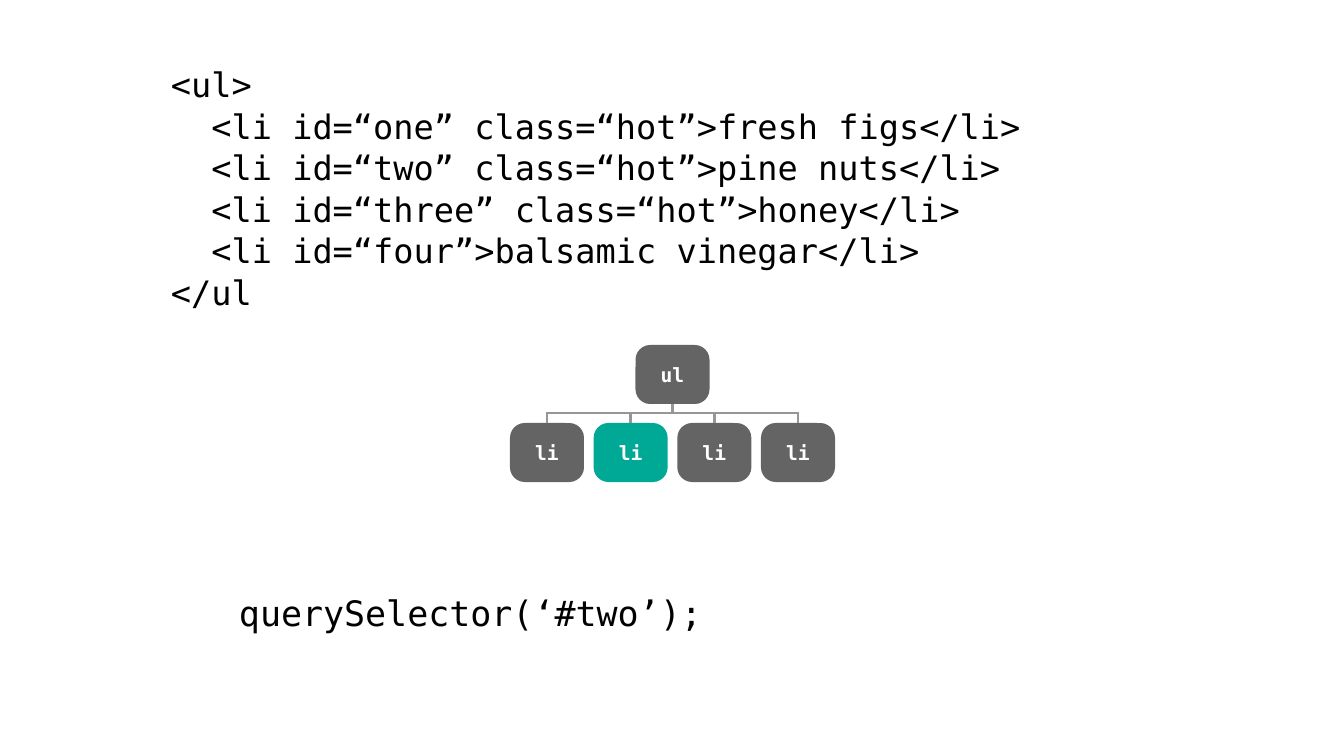
import pptx
import pptx.dml.color
import pptx.enum.shapes
import pptx.enum.text
import pptx.oxml
import pptx.util

CODE = """<ul>
  <li id=“one” class=“hot”>fresh figs</li>
  <li id=“two” class=“hot”>pine nuts</li>
  <li id=“three” class=“hot”>honey</li>
  <li id=“four”>balsamic vinegar</li>
</ul"""
QUERY = "querySelector(‘#two’);"
PARENT = "ul"
CHILDREN = ["li", "li", "li", "li"]
SELECTED_CHILD = 1

BLACK = pptx.dml.color.RGBColor(0x00, 0x00, 0x00)
WHITE = pptx.dml.color.RGBColor(0xFF, 0xFF, 0xFF)
GRAY = pptx.dml.color.RGBColor(0x64, 0x64, 0x64)
LINE_GRAY = pptx.dml.color.RGBColor(0x96, 0x96, 0x96)
TEAL = pptx.dml.color.RGBColor(0x00, 0xA9, 0x96)
FONT = "DejaVu Sans Mono"

EMU_PER_PX = 914400 / 100.8
SLIDE_SIZE = (1344, 756)
CODE_BOX = (171, 63, 1000, 247)
TITLE_BOX = (229, 591, 886, 49)
NODE_WIDTH, NODE_HEIGHT = 74, 59
PARENT_TOP, BUS_Y, CHILD_TOP = 345, 413, 423
FIRST_CHILD_LEFT, LAST_CHILD_LEFT = 510, 761


def px(length):
    return pptx.util.Emu(round(length * EMU_PER_PX))


def write_text(shape, text, size, color=BLACK, bold=False, inset=0, line_spacing=None,
               alignment=pptx.enum.text.PP_ALIGN.LEFT,
               anchor=pptx.enum.text.MSO_ANCHOR.MIDDLE):
    frame = shape.text_frame
    frame.word_wrap = True
    frame.auto_size = pptx.enum.text.MSO_AUTO_SIZE.NONE
    frame.vertical_anchor = anchor
    frame.margin_left = frame.margin_right = px(inset)
    frame.margin_top = frame.margin_bottom = 0
    paragraph = frame.paragraphs[0]
    paragraph.text = text.replace("\n", "\v")
    paragraph.alignment = alignment
    paragraph.line_spacing = line_spacing
    for run in paragraph.runs:
        run.font.name = FONT
        run.font.size = pptx.util.Pt(size)
        run.font.bold = bold
        run.font.color.rgb = color


def add_node(tree, label, left, top, fill):
    node = tree.shapes.add_shape(pptx.enum.shapes.MSO_SHAPE.ROUNDED_RECTANGLE,
                                 px(left), px(top), px(NODE_WIDTH), px(NODE_HEIGHT))
    node.adjustments[0] = 0.25
    node.shadow.inherit = False
    node.fill.solid()
    node.fill.fore_color.rgb = fill
    node.line.fill.background()
    write_text(node, label, 14, color=WHITE, bold=True,
               alignment=pptx.enum.text.PP_ALIGN.CENTER)


def add_line(tree, x1, y1, x2, y2):
    line = tree.shapes.add_connector(pptx.enum.shapes.MSO_CONNECTOR.STRAIGHT,
                                     px(x1), px(y1), px(x2), px(y2))
    line.line.color.rgb = LINE_GRAY
    line.line.width = pptx.util.Pt(2)
    properties = line._element.spPr
    properties.append(properties.makeelement(pptx.oxml.ns.qn("a:effectLst"), {}))


def add_tree(slide):
    tree = slide.shapes.add_group_shape()
    half = NODE_WIDTH / 2
    parent_left = (FIRST_CHILD_LEFT + LAST_CHILD_LEFT) / 2
    pitch = (LAST_CHILD_LEFT - FIRST_CHILD_LEFT) / (len(CHILDREN) - 1)
    add_node(tree, PARENT, parent_left, PARENT_TOP, GRAY)
    for index, label in enumerate(CHILDREN):
        left = FIRST_CHILD_LEFT + index * pitch
        add_node(tree, label, left, CHILD_TOP, TEAL if index == SELECTED_CHILD else GRAY)
        add_line(tree, left + half, BUS_Y, left + half, CHILD_TOP)
    add_line(tree, parent_left + half, PARENT_TOP + NODE_HEIGHT, parent_left + half, BUS_Y)
    add_line(tree, FIRST_CHILD_LEFT + half - 1, BUS_Y, LAST_CHILD_LEFT + half + 1, BUS_Y)


def main():
    presentation = pptx.Presentation()
    presentation.slide_width, presentation.slide_height = map(px, SLIDE_SIZE)
    slide = presentation.slides.add_slide(presentation.slide_layouts[5])

    title = slide.shapes.title
    title.left, title.top, title.width, title.height = map(px, TITLE_BOX)
    write_text(title, QUERY, 25, inset=10, line_spacing=0.9)

    add_tree(slide)

    code_box = slide.shapes.add_textbox(*map(px, CODE_BOX))
    write_text(code_box, CODE, 24, line_spacing=1.03,
               anchor=pptx.enum.text.MSO_ANCHOR.TOP)

    presentation.save("out.pptx")


if __name__ == "__main__":
    main()
